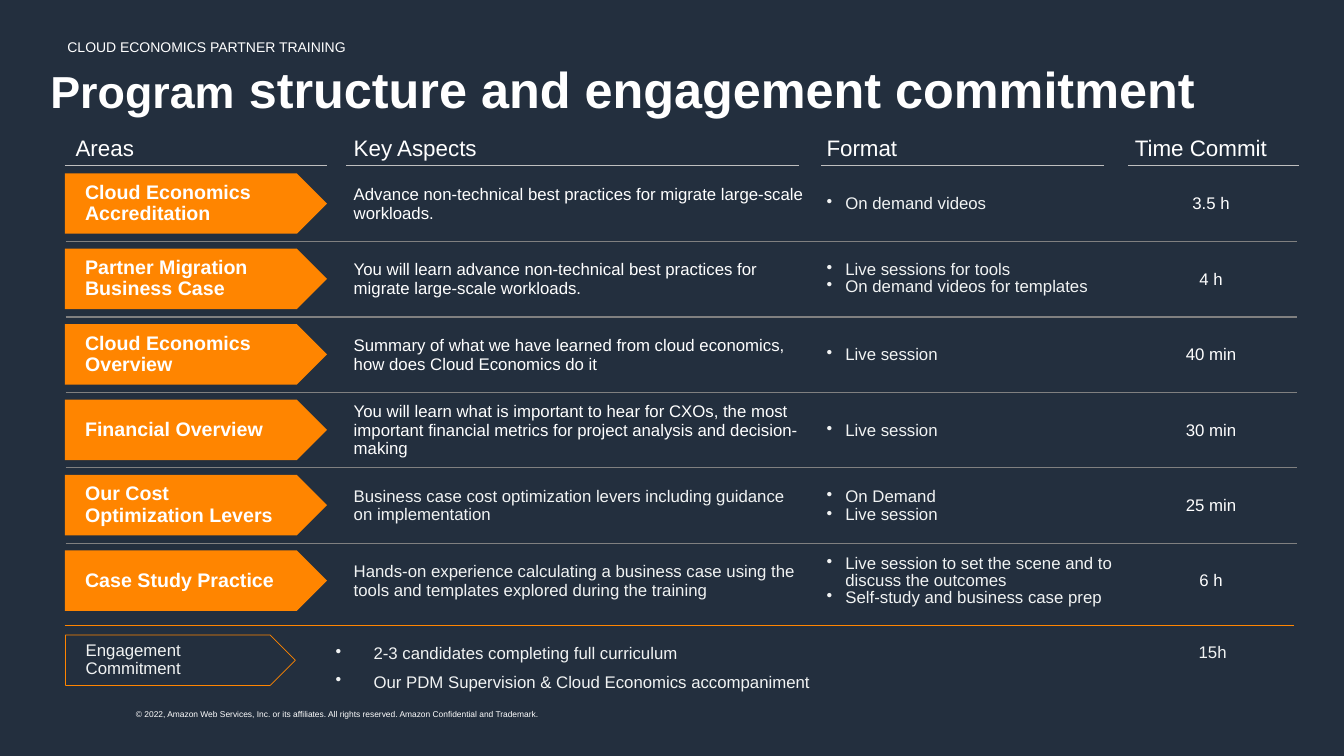
from dataclasses import dataclass
from itertools import accumulate

from lxml.etree import SubElement
from pptx import Presentation
from pptx.dml.color import RGBColor
from pptx.enum.shapes import MSO_CONNECTOR as Connector, MSO_SHAPE as Shape
from pptx.enum.text import MSO_ANCHOR as Anchor, PP_ALIGN as Align
from pptx.oxml.ns import qn
from pptx.util import Pt


@dataclass(frozen=True)
class Theme:
    font: str = "Arial"
    night: str = "232F3E"
    orange: str = "FF8500"
    white: str = "FFFFFF"
    mist: str = "F1F3F3"
    rule: str = "808080"
    underline: str = "BFBFBF"
    title: int = 36
    title_lead: int = 32
    heading: int = 16
    area: int = 14
    body: int = 12
    eyebrow: int = 10
    legal: int = 6


THEME = Theme()
INSET = (14.4, 11.5, 14.4, 11.5)
CELL_INSET = (7.2, 3.6, 7.2, 3.6)
TIGHT_INSET = (5.8, 5.8, 5.8, 5.8)
HEADER_HEIGHT, ROW_HEIGHT = 36.7, 53.88
COLUMNS = (198.7, 337.7, 220.3, 123.1)
HEADINGS = ("Areas", "Key Aspects", "Format", "Time Commit")
UNDERLINES = ((46.3, 187.2), (247, 324), (586.8, 201.6), (805.7, 122.4))

PROGRAM = (
    (("Cloud Economics", "Accreditation"),
     "Advance non-technical best practices for migrate large-scale workloads.",
     ("On demand videos",), "3.5 h", THEME.white, 1),
    (("Partner Migration Business Case",),
     "You will learn advance non-technical best practices for migrate large-scale workloads.",
     ("Live sessions for tools", "On demand videos for templates"), "4 h", THEME.white, 0.9),
    (("Cloud Economics Overview",),
     "Summary of what we have learned from cloud economics, how does Cloud Economics do it",
     ("Live session",), "40 min", THEME.white, 1),
    (("Financial Overview",),
     "You will learn what is important to hear for CXOs, the most important "
     "financial metrics for project analysis and decision-making",
     ("Live session",), "30 min", THEME.white, 1),
    (("Our Cost", "Optimization Levers"),
     "Business case cost optimization levers including guidance on implementation",
     ("On Demand", "Live session"), "25 min", THEME.mist, 1),
    (("Case Study Practice",),
     "Hands-on experience calculating a business case using the tools and templates "
     "explored during the training",
     ("Live session to set the scene and to discuss the outcomes",
      "Self-study and business case prep"), "6 h", THEME.mist, 0.9),
)


def color(value):
    return RGBColor.from_string(value)


def write(frame, *lines, size=THEME.body, ink=THEME.white, bold=False,
          align=Align.LEFT, spacing=1, after=0, indent=0):
    for index, line in enumerate(lines):
        paragraph = frame.paragraphs[0] if index == 0 else frame.add_paragraph()
        if indent:
            props = paragraph._p.get_or_add_pPr()
            props.set("marL", str(Pt(indent)))
            props.set("indent", str(-Pt(indent)))
            SubElement(props, qn("a:buChar")).set("char", "•")
        paragraph.alignment = align
        paragraph.line_spacing = spacing
        paragraph.space_after = Pt(after)
        for words, points in ([(line, size)] if isinstance(line, str) else line):
            run = paragraph.add_run()
            run.text = words
            run.font.name = THEME.font
            run.font.size = Pt(points)
            run.font.bold = bold
            run.font.color.rgb = color(ink)


def set_frame(frame, inset, anchor=Anchor.TOP, wrap=True):
    frame.word_wrap = wrap
    frame.vertical_anchor = anchor
    (frame.margin_left, frame.margin_top,
     frame.margin_right, frame.margin_bottom) = map(Pt, inset)


def add_text(slide, box, *lines, inset=CELL_INSET, wrap=True, **style):
    frame = slide.shapes.add_textbox(*map(Pt, box)).text_frame
    set_frame(frame, inset, wrap=wrap)
    write(frame, *lines, **style)


def add_rule(slide, left, top, width, ink):
    rule = slide.shapes.add_connector(
        Connector.STRAIGHT, Pt(left), Pt(top), Pt(left + width), Pt(top))
    rule.line.color.rgb = color(ink)
    rule.line.width = Pt(0.5)
    SubElement(rule._element.spPr, qn("a:effectLst"))


def add_area(slide, box, *lines, filled=True, **style):
    arrow = slide.shapes.add_shape(Shape.PENTAGON, *map(Pt, box))
    arrow.shadow.inherit = False
    if filled:
        arrow.fill.solid()
        arrow.fill.fore_color.rgb = color(THEME.orange)
        arrow.line.fill.background()
    else:
        arrow.fill.background()
        arrow.line.color.rgb = color(THEME.orange)
        arrow.line.width = Pt(0.5)
    set_frame(arrow.text_frame, INSET, Anchor.MIDDLE)
    write(arrow.text_frame, *lines, spacing=0.9, **style)


def set_borders(cell, ruled):
    props = cell._tc.get_or_add_tcPr()
    for side in ("lnL", "lnR", "lnT", "lnB"):
        border = SubElement(props, qn(f"a:{side}"))
        if side in ruled:
            border.set("w", str(Pt(1)))
            fill = SubElement(border, qn("a:solidFill"))
            SubElement(fill, qn("a:srgbClr")).set("val", THEME.rule)
        else:
            SubElement(border, qn("a:noFill"))


def add_heading(slide, box):
    left, top, width, height = box
    add_text(slide, (left + 26.6, top, 864, 18.7), "CLOUD ECONOMICS PARTNER TRAINING",
             inset=(0, 3.6, 7.2, 3.6), size=THEME.eyebrow, spacing=0.9, after=9)
    add_text(slide, (left, top + 9.4, width, height - 9.4),
             [("Program", THEME.title_lead),
              (" structure and engagement commitment", THEME.title)],
             inset=INSET, bold=True, spacing=0.9)


def add_program(slide, box):
    left, top, width, height = box
    table = slide.shapes.add_table(
        len(PROGRAM) + 1, len(COLUMNS), *map(Pt, box)).table
    table.first_row = table.horz_banding = False
    for column, span in zip(table.columns, COLUMNS):
        column.width = Pt(span)
    heights = [HEADER_HEIGHT] + [ROW_HEIGHT] * len(PROGRAM)
    for index, (row, span) in enumerate(zip(table.rows, heights)):
        row.height = Pt(span)
        ruled = [side for side, shown in (("lnT", index > 1),
                                          ("lnB", 0 < index < len(PROGRAM))) if shown]
        for cell in row.cells:
            set_borders(cell, ruled)
            cell.fill.background()
            cell.vertical_anchor = Anchor.MIDDLE if index else Anchor.BOTTOM
    for column, heading in enumerate(HEADINGS):
        write(table.cell(0, column).text_frame, heading, size=THEME.heading)
    row_tops = accumulate(heights[:-1], initial=top)
    next(row_tops)
    for index, (row_top, entry) in enumerate(zip(row_tops, PROGRAM), 1):
        area, aspect, formats, time, ink, spacing = entry
        write(table.cell(index, 1).text_frame, aspect, ink=ink)
        write(table.cell(index, 2).text_frame, *formats,
              ink=THEME.mist, spacing=spacing, indent=13.5)
        write(table.cell(index, 3).text_frame, time, align=Align.CENTER)
        add_area(slide, (left - 0.4, row_top + 5, 187.2, 43.2), *area,
                 size=THEME.area, bold=True)
    for start, span in UNDERLINES:
        add_rule(slide, start, top + 36, span, THEME.underline)


def add_commitment(slide, box):
    left, top, width, height = box
    add_rule(slide, left, top, width, THEME.orange)
    add_area(slide, (left + 0.7, top + 7.2, 164.2, 36), "Engagement Commitment",
             filled=False, ink=THEME.mist)
    add_text(slide, (left + 187.9, top + 7.2, 410.4, height - 7.2),
             "2-3 candidates completing full curriculum",
             "Our PDM Supervision & Cloud Economics accompaniment",
             inset=TIGHT_INSET, ink=THEME.mist, after=6, indent=27)
    add_text(slide, (left + 783.4, top + 7.9, 73.4, 28.8), "15h",
             inset=TIGHT_INSET, ink=THEME.mist, align=Align.CENTER, spacing=0.9)


def add_legal(slide, box):
    add_text(slide, box,
             "© 2022, Amazon Web Services, Inc. or its affiliates. All rights reserved. "
             "Amazon Confidential and Trademark.", wrap=False, size=THEME.legal)


def main():
    deck = Presentation()
    deck.slide_width, deck.slide_height = Pt(960), Pt(540)
    slide = deck.slides.add_slide(deck.slide_layouts[6])
    slide.background.fill.solid()
    slide.background.fill.fore_color.rgb = color(THEME.night)
    add_heading(slide, (21.6, 25.2, 917.3, 80))
    add_program(slide, (46.8, 82.1, sum(COLUMNS), HEADER_HEIGHT + ROW_HEIGHT * len(PROGRAM)))
    add_commitment(slide, (46.1, 446.4, 878.4, 50.4))
    add_legal(slide, (90, 503.3, 310.3, 14.4))
    deck.save("out.pptx")


if __name__ == "__main__":
    main()
